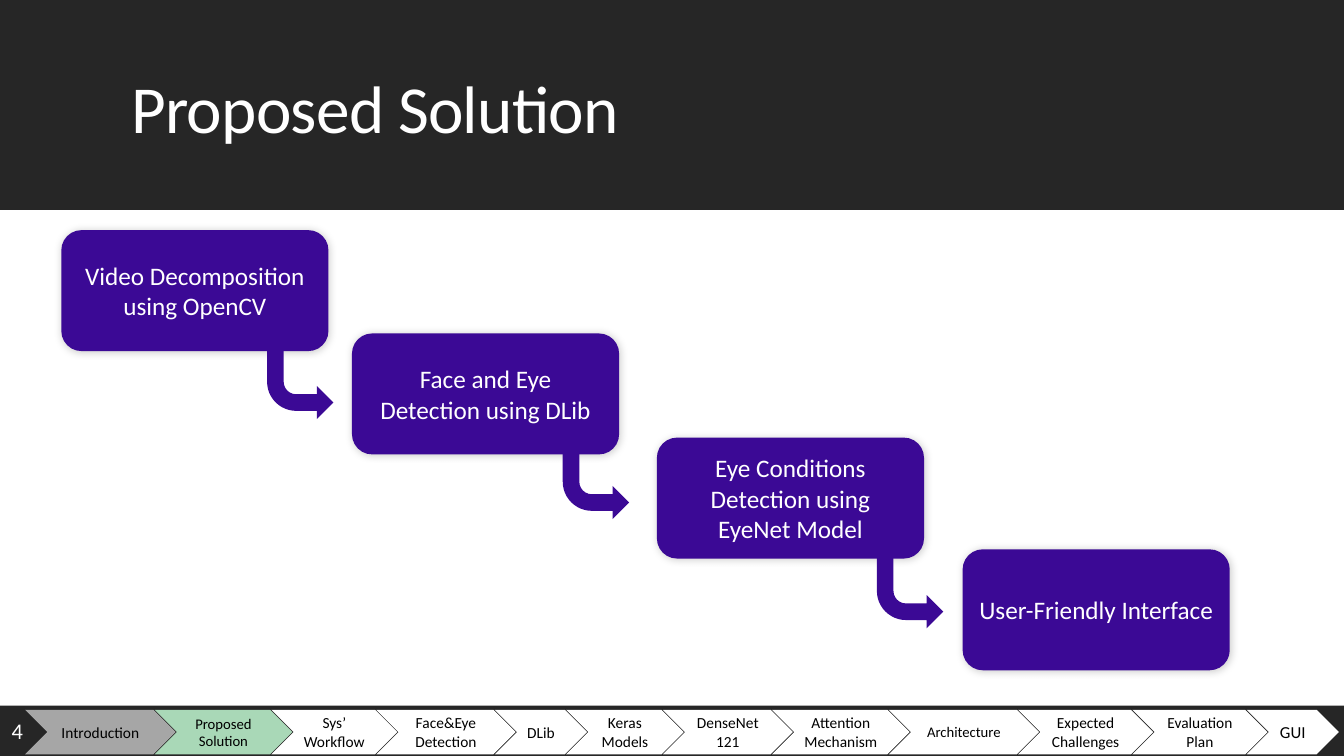
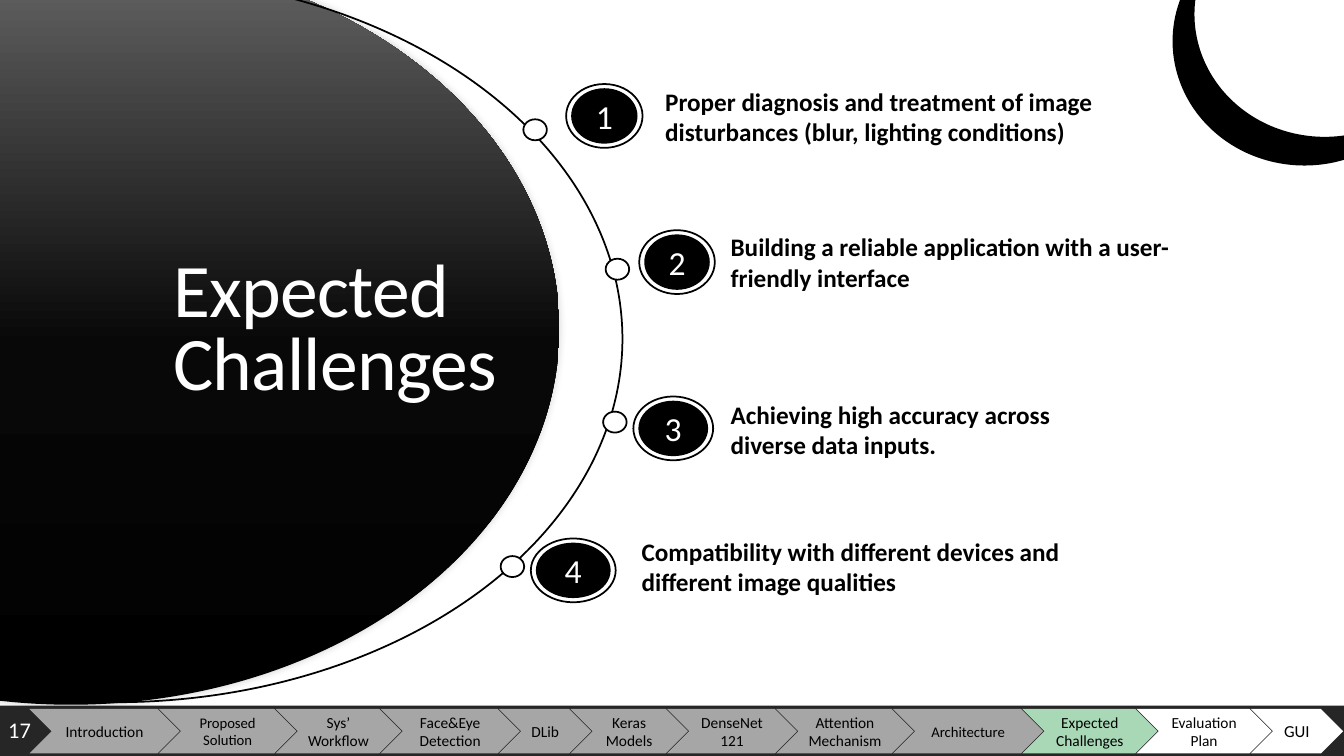
from copy import deepcopy

from lxml import etree
from pptx import Presentation
from pptx.dml.color import RGBColor
from pptx.enum.shapes import MSO_SHAPE
from pptx.enum.text import MSO_ANCHOR, MSO_AUTO_SIZE, PP_ALIGN
from pptx.oxml.ns import qn
from pptx.util import Inches, Pt

RECTANGLE = MSO_SHAPE.RECTANGLE
ELLIPSE = MSO_SHAPE.OVAL
CHEVRON = MSO_SHAPE.CHEVRON
STEP_BOX = MSO_SHAPE.FLOWCHART_ALTERNATE_PROCESS
BENT_ARROW = MSO_SHAPE.BENT_ARROW
LEFT, CENTER = PP_ALIGN.LEFT, PP_ALIGN.CENTER
TOP, MIDDLE, BOTTOM = MSO_ANCHOR.TOP, MSO_ANCHOR.MIDDLE, MSO_ANCHOR.BOTTOM
NO_AUTOFIT = MSO_AUTO_SIZE.NONE

FONT = "Calibri"
BLACK, WHITE, CHARCOAL = "000000", "FFFFFF", "262626"
PURPLE, GREY, GREEN = "3B0995", "A6A6A6", "A9D8B7"

deck = Presentation()
deck.slide_width, deck.slide_height = Inches(13.333), Inches(7.5)
COLUMN, ROW = deck.slide_width / 160, deck.slide_height / 90


def draw(page, kind, left, top, width, height, fill=None, line=None, shadow=None):
    shape = page.shapes.add_shape(
        kind, int(left * COLUMN), int(top * ROW), int(width * COLUMN), int(height * ROW))
    shape.shadow.inherit = False
    if fill:
        shape.fill.solid()
        shape.fill.fore_color.rgb = RGBColor.from_string(fill)
    else:
        shape.fill.background()
    if line:
        shape.line.color.rgb = RGBColor.from_string(line)
        shape.line.width = Pt(1.25)
    else:
        shape.line.fill.background()
    if shadow:
        distance, angle = shadow
        effects = shape.element.spPr.find(qn("a:effectLst"))
        outer = etree.SubElement(effects, qn("a:outerShdw"), blurRad=str(Pt(6)),
                                 dist=str(Pt(distance)), dir=str(angle * 60000))
        colour = etree.SubElement(outer, qn("a:srgbClr"), val=BLACK)
        etree.SubElement(colour, qn("a:alpha"), val="20000")
    return shape


def write(box, text, size, colour, align=LEFT, anchor=TOP, bold=False):
    frame = box.text_frame
    frame.text = text
    frame.word_wrap = True
    frame.auto_size = NO_AUTOFIT
    frame.vertical_anchor = anchor
    para = frame.paragraphs[0]
    para.alignment = align
    for span in para.runs:
        span.font.name = FONT
        span.font.size = Pt(size)
        span.font.bold = bold
        span.font.color.rgb = RGBColor.from_string(colour)
    return para


solution, challenges = [deck.slides.add_slide(deck.slide_layouts[5]) for _ in range(2)]

draw(solution, RECTANGLE, 0, 0, 160, 25, CHARCOAL)

steps = [
    ("Video Decomposition using OpenCV", 7.3, 27.4),
    ("Face and Eye Detection using DLib", 41.9, 39.7),
    ("Eye Conditions Detection using EyeNet Model", 78.2, 52.1),
    ("User-Friendly Interface", 114.6, 65.4),
]
for label, left, top in steps:
    box = draw(solution, STEP_BOX, left, top, 31.8, 14.4, PURPLE, shadow=(1, 45))
    write(box, label, 18, WHITE, CENTER, MIDDLE)

for left, top in [(31.8, 40.9), (67, 52.8), (104.4, 65.8)]:
    arrow = draw(solution, BENT_ARROW, left, top, 7.9, 9, PURPLE)
    arrow.element.spPr.find(qn("a:xfrm")).set("flipV", "1")

disc = draw(challenges, ELLIPSE, -49.7, -5.6, 116.3, 89.5, BLACK, shadow=(0, 315))
disc.fill.gradient()
disc.fill.gradient_angle = 90
stop_list = disc.element.spPr.find(".//" + qn("a:gsLst"))
stop_list.insert(1, deepcopy(stop_list[0]))
gradient = [(0, BLACK), (0.48, "080808"), (1, "666666")]
for stop, (position, colour) in zip(disc.fill.gradient_stops, gradient):
    stop.position = position
    stop.color.rgb = RGBColor.from_string(colour)
draw(challenges, ELLIPSE, -46.7, -2.9, 120.8, 86.5, line=BLACK)

items = [
    ("Proper diagnosis and treatment of image disturbances (blur, lighting conditions)",
     (62.3, 14.2), (67.4, 10, 9.1), (78, 9.7, 54.8)),
    ("Building a reliable application with a user-friendly interface",
     (72.1, 30.8), (76.1, 27.4, 9), (85.8, 27, 54.8)),
    ("Achieving high accuracy across diverse data inputs.",
     (71.8, 49), (75.4, 47.2, 9.5), (85.8, 46.9, 48.4)),
    ("Compatibility with different devices and different image qualities",
     (59.6, 66.2), (63.2, 64.1, 10.1), (75.2, 63.2, 56.2)),
]
for number, (label, dot, badge, place) in enumerate(items, 1):
    draw(challenges, ELLIPSE, *dot, 2.8, 2.5, WHITE, BLACK)
    left, top, width = badge
    draw(challenges, ELLIPSE, left, top, width, 7.6, WHITE, BLACK)
    core = draw(challenges, ELLIPSE, left + 0.6, top + 0.5, width - 1.2, 6.6, BLACK)
    write(core, str(number), 24, WHITE, CENTER, MIDDLE)
    left, top, width = place
    box = challenges.shapes.add_textbox(
        int(left * COLUMN), int(top * ROW), int(width * COLUMN), int(8.5 * ROW))
    write(box, label, 18, BLACK, bold=True)

for left, top, fill in [(139.7, -9.8, BLACK), (142.1, -13, WHITE)]:
    draw(challenges, ELLIPSE, left, top, 31.2, 29.4, fill, BLACK)

sections = [
    ("Introduction", 17.9, 11),
    ("Proposed Solution", 16.4, 10.5),
    ("Sys’ Workflow", 15, 11),
    ("Face&Eye Detection", 16.6, 11),
    ("DLib", 11, 11),
    ("Keras Models", 14, 11),
    ("DenseNet121", 15.5, 11),
    ("Attention Mechanism", 16.4, 11),
    ("Architecture", 17.9, 10.5),
    ("Expected Challenges", 16.1, 11),
    ("Evaluation Plan", 16.1, 11),
    ("GUI", 11, 12),
]
pages = [
    (solution, "Proposed Solution", 48, 0.9, MIDDLE, (14.4, 3.7, 132, 19.1),
     "4", (0.2, 4.8), 3, 84.5),
    (challenges, "Expected Challenges", 54, 0.8, BOTTOM, (19.4, 28.4, 43.8, 20.4),
     "17", (-0.2, 6.2), 3.5, 84.4),
]
for page, heading, size, spacing, anchor, place, number, number_place, start, top in pages:
    title = page.shapes.title
    left, title_top, width, height = place
    title.left, title.top = int(left * COLUMN), int(title_top * ROW)
    title.width, title.height = int(width * COLUMN), int(height * ROW)
    para = write(title, heading, size, WHITE, anchor=anchor)
    para.line_spacing = spacing
    para.runs[0].font._element.set("spc", "-50")
    page.shapes.element.append(title.element)

    draw(page, RECTANGLE, 0, 84, 160, 6, CHARCOAL)
    current = [label for label, _, _ in sections].index(heading)
    left = start
    for index, (label, width, size) in enumerate(sections):
        fill = GREY if index < current else GREEN if index == current else WHITE
        chevron = draw(page, CHEVRON, left, top, width, 5.3, fill)
        write(chevron, label, size, BLACK, CENTER, MIDDLE)
        left += width - 2.5

    left, width = number_place
    box = page.shapes.add_textbox(
        int(left * COLUMN), int((top + 0.3) * ROW), int(width * COLUMN), int(4.4 * ROW))
    write(box, number, 16, WHITE)

deck.save("out.pptx")
